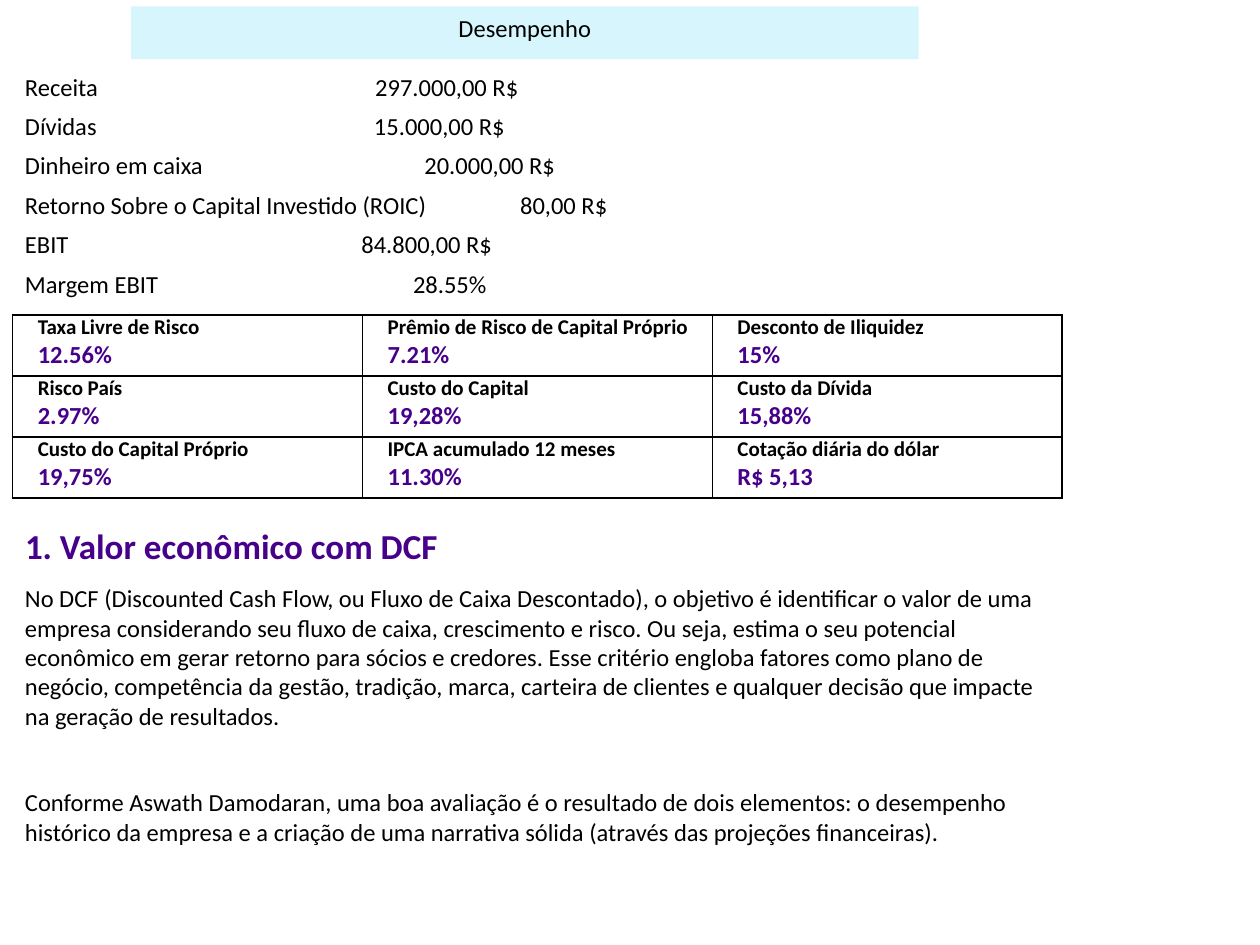
from copy import deepcopy

from pptx import Presentation
from pptx import util as u
from pptx.dml.color import RGBColor
from pptx.enum import shapes, text
from pptx.oxml import ns, xmlchemy

BLACK, PURPLE, PALE_BLUE = "000000", "47008A", "D7F5FC"
LEFT, WIDTH = 0.1, 8.33


def colour(value):
    return RGBColor.from_string(value)


class SlideBuilder:
    """Holds the text style and the slide being built."""

    style = {"name": "Calibri", "size": u.Pt(14), "bold": False}

    def __init__(self, slide):
        self.slide = slide

    def run(self, paragraph, content, hue=BLACK, **formats):
        run = paragraph.add_run()
        run.text = content
        for name, value in {**self.style, **formats}.items():
            setattr(run.font, name, value)
        run.font.color.rgb = colour(hue)
        return run

    def text_box(self, content, top, width=WIDTH, height=0.26, tab=None, **formats):
        shape = self.slide.shapes.add_textbox(*map(u.Inches, (LEFT, top, width, height)))
        shape.text_frame.word_wrap = True
        shape.text_frame.auto_size = text.MSO_AUTO_SIZE.SHAPE_TO_FIT_TEXT
        paragraph = shape.text_frame.paragraphs[0]
        self.run(paragraph, content, **formats)
        if tab:
            stops = xmlchemy.OxmlElement("a:tabLst")
            stop = xmlchemy.OxmlElement("a:tab")
            stop.set("pos", str(u.Inches(tab)))
            stop.set("algn", "l")
            stops.append(stop)
            paragraph._p.get_or_add_pPr().append(stops)

    def banner(self, content, left, top, width, height):
        shape = self.slide.shapes.add_shape(
            shapes.MSO_SHAPE.RECTANGLE, *map(u.Inches, (left, top, width, height)))
        shape.shadow.inherit = False
        shape.fill.solid()
        shape.fill.fore_color.rgb = colour(PALE_BLUE)
        shape.line.fill.background()
        shape.text_frame.word_wrap = True
        shape.text_frame.vertical_anchor = text.MSO_ANCHOR.TOP
        paragraph = shape.text_frame.paragraphs[0]
        paragraph.alignment = text.PP_ALIGN.CENTER
        self.run(paragraph, content)

    def borders(self, cell):
        properties = cell._tc.get_or_add_tcPr()
        for side in ("lnL", "lnR", "lnT", "lnB"):
            line = xmlchemy.OxmlElement(f"a:{side}")
            line.set("w", str(u.Pt(1)))
            fill = xmlchemy.OxmlElement("a:solidFill")
            hue = xmlchemy.OxmlElement("a:srgbClr")
            hue.set("val", BLACK)
            fill.append(hue)
            line.append(fill)
            properties.append(line)

    def indicator(self, cell, label, value):
        margins = {"margin_left": 0.2, "margin_top": 0, "margin_right": 0, "margin_bottom": 0.05}
        for name, inches in margins.items():
            setattr(cell, name, u.Inches(inches))
        self.borders(cell)
        cell.fill.background()
        paragraph = cell.text_frame.paragraphs[0]
        label_run = self.run(paragraph, label, size=u.Pt(12), bold=True)
        paragraph.add_line_break()
        line_break = paragraph._p.find(ns.qn("a:br"))
        line_break.append(deepcopy(label_run._r.find(ns.qn("a:rPr"))))
        self.run(paragraph, value, PURPLE, bold=True)

    def table(self, rows, top, row_height):
        frame = self.slide.shapes.add_table(
            len(rows), len(rows[0]),
            *map(u.Inches, (LEFT, top, WIDTH, row_height * len(rows))))
        table = frame.table
        table.first_row = table.horz_banding = False
        for row_number, row in enumerate(rows):
            for column_number, (label, value) in enumerate(row):
                self.indicator(table.cell(row_number, column_number), label, value)


RESULTS = [
    ("Receita", "297.000,00 R$", 2.78),
    ("Dívidas", "15.000,00 R$", 2.77),
    ("Dinheiro em caixa", "20.000,00 R$", 3.17),
    ("Retorno Sobre o Capital Investido (ROIC)", "80,00 R$", 3.93),
    ("EBIT", "84.800,00 R$", 2.67),
    ("Margem EBIT", "28.55%", 3.08),
]
INDICATORS = [
    [("Taxa Livre de Risco", "12.56%"),
     ("Prêmio de Risco de Capital Próprio", "7.21%"),
     ("Desconto de Iliquidez", "15%")],
    [("Risco País", "2.97%"), ("Custo do Capital", "19,28%"), ("Custo da Dívida", "15,88%")],
    [("Custo do Capital Próprio", "19,75%"),
     ("IPCA acumulado 12 meses", "11.30%"),
     ("Cotação diária do dólar", "R$ 5,13")],
]
DCF = (
    "No DCF (Discounted Cash Flow, ou Fluxo de Caixa Descontado), o objetivo é identificar "
    "o valor de uma empresa considerando seu fluxo de caixa, crescimento e risco. Ou seja, "
    "estima o seu potencial econômico em gerar retorno para sócios e credores. Esse critério "
    "engloba fatores como plano de negócio, competência da gestão, tradição, marca, carteira "
    "de clientes e qualquer decisão que impacte na geração de resultados."
)
VALUATION = (
    "Conforme Aswath Damodaran, uma boa avaliação é o resultado de dois elementos: o "
    "desempenho histórico da empresa e a criação de uma narrativa sólida (através das "
    "projeções financeiras)."
)

presentation = Presentation()
presentation.slide_width, presentation.slide_height = u.Inches(10), u.Inches(7.5)
builder = SlideBuilder(presentation.slides.add_slide(presentation.slide_layouts[6]))

builder.banner("Desempenho", 1.04, 0.05, 6.25, 0.42)
for index, (label, value, tab) in enumerate(RESULTS):
    builder.text_box(f"{label}\t{value}", 0.52 + 0.3125 * index, tab=tab)
builder.table(INDICATORS, 2.5, 0.4)
builder.text_box("1. Valor econômico com DCF", 4.11, 6.25, 0.42,
                 hue=PURPLE, size=u.Pt(20), bold=True)
builder.text_box(DCF, 4.58, height=1.56)
builder.text_box(VALUATION, 6.2, height=0.78)

presentation.save("out.pptx")
